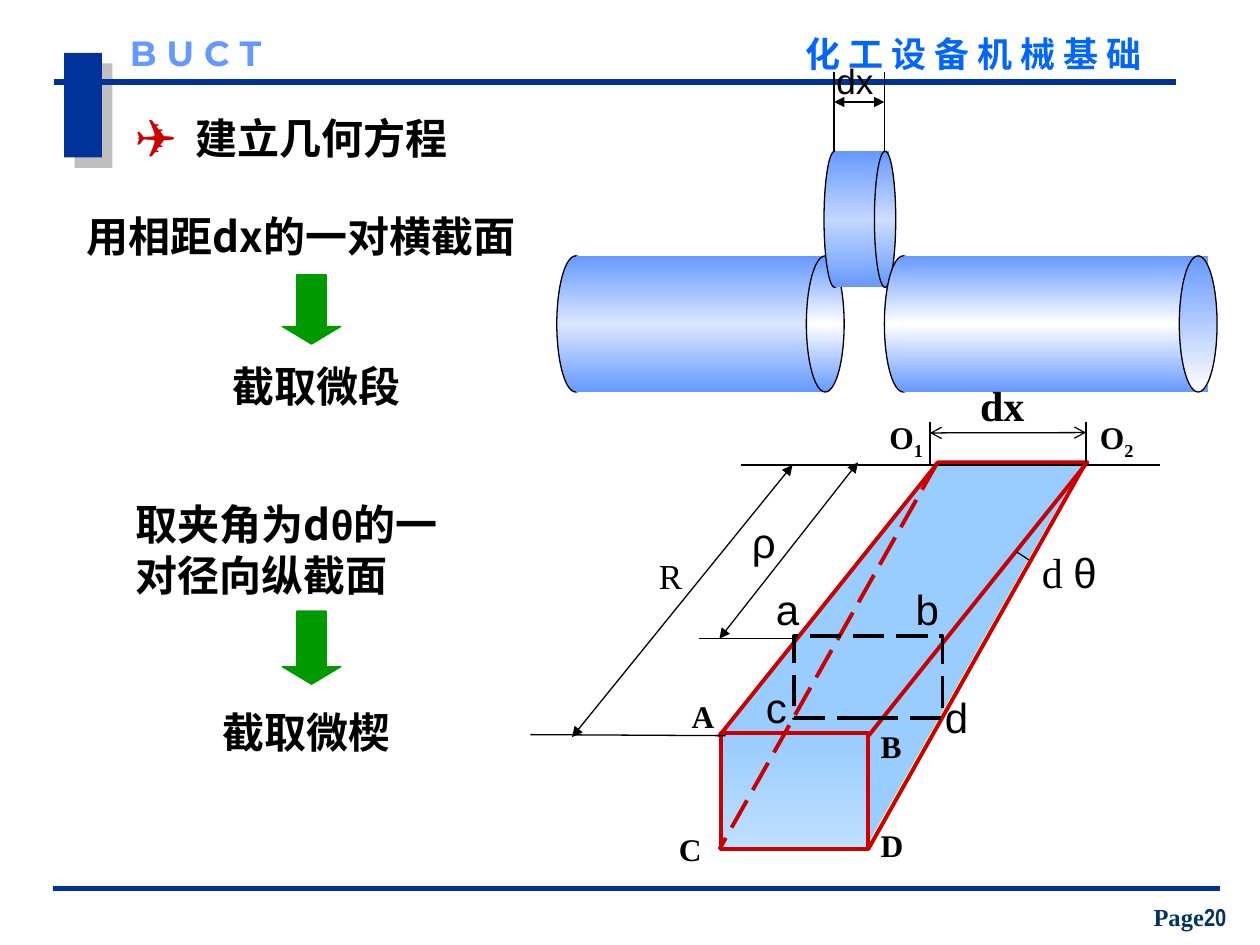
from lxml.etree import SubElement
from pptx import Presentation
from pptx.dml.color import RGBColor
from pptx.enum.dml import MSO_LINE
from pptx.enum.shapes import MSO_CONNECTOR, MSO_SHAPE
from pptx.enum.text import MSO_ANCHOR, PP_ALIGN
from pptx.oxml.ns import qn
from pptx.util import Pt

COLORS = {
    "navy": "003399", "deep": "003366", "title": "0066FF", "blue": "6699FF",
    "pale": "DAE6FF", "mist": "C3D7FF", "haze": "CCDDFF", "white": "FFFFFF",
    "black": "000000", "grey": "808080", "red": "CC0000", "green": "009900",
    "sky": "99CCFF", "light": "BEDFFF", "cream": "FFFF99",
}
SANS, ROMAN, HAN = "Arial", "Times New Roman", "Noto Sans CJK SC"


def rgb(name):
    return RGBColor.from_string(COLORS[name])


def shade(shape, names):
    """Fill from top to bottom with evenly spaced colours."""
    shape.fill.gradient()
    shape.fill.gradient_angle = 270
    stops = shape._element.spPr.find(qn("a:gradFill")).find(qn("a:gsLst"))
    for stop in list(stops):
        stops.remove(stop)
    for i, name in enumerate(names):
        stop = SubElement(stops, qn("a:gs"), pos=str(100000 * i // (len(names) - 1)))
        SubElement(stop, qn("a:srgbClr"), val=COLORS[name])


def add_form(slide, kind, box, fill=None, edge=None, width=0.75):
    """Preset shape; fill is a colour, a list of colours or None."""
    shape = slide.shapes.add_shape(kind, *map(Pt, box))
    shape.shadow.inherit = False
    if fill is None:
        shape.fill.background()
    elif isinstance(fill, list):
        shade(shape, fill)
    else:
        shape.fill.solid()
        shape.fill.fore_color.rgb = rgb(fill)
    if edge:
        shape.line.color.rgb = rgb(edge)
        shape.line.width = Pt(width)
    else:
        shape.line.fill.background()
    return shape


def add_line(slide, ends, color="black", width=0.75, arrow=None, dash=False):
    line = slide.shapes.add_connector(MSO_CONNECTOR.STRAIGHT, *map(Pt, ends))
    line.line.color.rgb = rgb(color)
    line.line.width = Pt(width)
    if dash:
        line.line.dash_style = MSO_LINE.LONG_DASH
    props = line._element.spPr
    if arrow:
        for tag in ("a:headEnd", "a:tailEnd"):
            SubElement(props.find(qn("a:ln")), qn(tag), type=arrow)
    SubElement(props, qn("a:effectLst"))


def add_text(slide, box, runs, size, color="black", bold=False,
             align=PP_ALIGN.LEFT, inset=True):
    """Text box; each run is (words, font) or (words, font, baseline)."""
    frame = slide.shapes.add_textbox(*map(Pt, box)).text_frame
    frame.word_wrap = True
    if not inset:
        frame.margin_left = frame.margin_right = 0
        frame.margin_top = frame.margin_bottom = 0
    para = frame.paragraphs[0]
    para.alignment = align
    for words, face, *base in runs:
        run = para.add_run()
        run.text = words
        font = run.font
        font.size, font.bold, font.name = Pt(size), bold, face
        font.color.rgb = rgb(color)
        props = run._r.get_or_add_rPr()
        SubElement(props, qn("a:ea"), typeface=HAN)
        if base:
            props.set("baseline", str(base[0] * 1000))
    return frame


def add_mark(frame, sign, color, gap):
    """Hanging bullet for the first paragraph."""
    props = frame.paragraphs[0]._p.get_or_add_pPr()
    props.set("marL", str(Pt(gap)))
    props.set("indent", str(-Pt(gap)))
    tint = SubElement(props, qn("a:buClr"))
    SubElement(tint, qn("a:srgbClr"), val=COLORS[color])
    SubElement(props, qn("a:buFont"), typeface=SANS)
    SubElement(props, qn("a:buChar"), char=sign)


def add_tube(slide, left, top, cap, far, end, mid, face):
    """Lying tube: near cap, body up to end, far cap."""
    high = 77.8
    body = ["blue", mid, "blue"]
    add_form(slide, MSO_SHAPE.OVAL, (left, top, cap, high), body, "black")
    start = left + cap / 2
    add_form(slide, MSO_SHAPE.RECTANGLE, (start, top, end - start, high), body)
    add_form(slide, MSO_SHAPE.OVAL, (far, top, cap, high), face, "black")


def add_frame(slide):
    """Header, footer and corner flag."""
    flag = add_form(slide, MSO_SHAPE.RECTANGLE, (36.7, 30.2, 21.6, 59.8), "navy")
    glow = SubElement(flag._element.spPr.find(qn("a:effectLst")), qn("a:outerShdw"),
                      dist=str(Pt(8.5)), dir="2700000", algn="ctr", rotWithShape="0")
    tint = SubElement(glow, qn("a:srgbClr"), val=COLORS["grey"])
    SubElement(tint, qn("a:alpha"), val="50000")
    add_line(slide, (31, 46.8, 672, 46.8), "navy", 3)
    add_line(slide, (30.2, 507.6, 697, 507.6), "navy", 3)
    add_text(slide, (460.4, 18.7, 226, 48), [("化 工 设 备 机 械 基 础", ROMAN)],
             20, "title", True, inset=False)
    add_text(slide, (74.2, 18, 102, 24), [("B U C T", "Montserrat")],
             20, "blue", True, inset=False)
    page = add_text(slide, (645.8, 512, 68.4, 23.8),
                    [("Page", ROMAN), ("20", "Arial Narrow")], 14, "deep", True, PP_ALIGN.CENTER)
    page.vertical_anchor = MSO_ANCHOR.BOTTOM


def add_steps(slide):
    """Left column: heading, steps and arrows."""
    head = add_text(slide, (70.6, 60.5, 286.6, 36), [("建立几何方程", ROMAN)], 24, bold=True)
    add_mark(head, "✈", "red", 34)
    left, mid = PP_ALIGN.LEFT, PP_ALIGN.CENTER
    steps = [
        ((42.5, 116.6, 265.7, 64.8), [("用相距dx的一对横截面", HAN)], left),
        ((76.3, 202.3, 209.5, 36), [("截取微段", SANS)], mid),
        ((70.6, 281.5, 187.2, 64.8),
         [("取夹角为d", HAN), ("θ", SANS), ("的一对径向纵截面", HAN)], left),
        ((64.8, 400.3, 221, 36), [("截取微楔", HAN)], mid),
    ]
    for box, runs, align in steps:
        add_text(slide, box, runs, 24, bold=True, align=align)
    for top, high in ((157, 39.6), (349.2, 41.8)):
        arrow = add_form(slide, MSO_SHAPE.DOWN_ARROW, (161.3, top, 33.5, high), "green", "green")
        arrow.adjustments[0], arrow.adjustments[1] = 0.5, 0.3


def add_shaft(slide):
    """Shaft with the thin slice pulled out."""
    add_tube(slide, 318.2, 146.2, 21.6, 460.8, 471.6, "pale", ["blue", "white", "blue"])
    add_tube(slide, 470.9, 86.4, 12.2, 499.7, 508.3, "mist", ["blue", "haze", "blue"])
    add_tube(slide, 505.4, 146.2, 21.6, 673.9, 690.5, "white", ["blue", "white"])
    for x in (476.6, 505.4):
        add_line(slide, (x, 86.4, x, 41))
    add_line(slide, (476.6, 58.3, 505.4, 58.3), arrow="triangle")
    add_text(slide, (470.9, 30.2, 62.6, 31.7), [("dx", SANS)], 20)


def add_wedge(slide):
    """Wedge cut from the slice."""
    side = add_form(slide, MSO_SHAPE.RIGHT_TRIANGLE, (528.5, 255.6, 54.7, 244), "sky", "cream", 1.5)
    side.rotation = 42.1
    top = add_form(slide, MSO_SHAPE.PARALLELOGRAM, (411.1, 264.2, 210.2, 156.2), "sky", "red", 2.25)
    top.adjustments[0] = 0.8
    add_form(slide, MSO_SHAPE.RECTANGLE, (411.8, 419, 84.2, 66.2), ["sky", "light"], "red", 2.25)

    # Guide lines and sizes
    for ends in ((423.4, 265.7, 663.1, 265.7), (531.4, 265.7, 531.4, 241.2),
                 (620.6, 265.7, 620.6, 241.2), (303.1, 419.8, 414.7, 420.4),
                 (581, 315.4, 589.7, 321.1), (399.6, 365, 453.6, 365)):
        add_line(slide, ends)
    add_line(slide, (531.4, 247.4, 620.6, 247.2), arrow="arrow")
    add_line(slide, (452.9, 265.7, 326.9, 421.2), arrow="triangle")
    add_line(slide, (411.1, 365, 490.3, 264.2), arrow="triangle")

    # Lower edges and inner section
    add_line(slide, (620.6, 264.2, 496.1, 485.3), "red", 2.25)
    add_line(slide, (535.7, 264.2, 411.1, 485.3), "red", 2.25, dash=True)
    inner = add_form(slide, MSO_SHAPE.RECTANGLE, (453.6, 363.6, 85, 46.8), None, "black", 2.25)
    inner.line.dash_style = MSO_LINE.LONG_DASH

    # Letters
    for word, x, y, size, face, bold in (
            ("dx", 553, 213.1, 24, ROMAN, True), ("R", 369.4, 313.2, 20, ROMAN, False),
            ("A", 388.1, 394.6, 18, ROMAN, True), ("B", 496.1, 411.8, 18, ROMAN, True),
            ("C", 380.9, 470.9, 18, ROMAN, True), ("D", 496.1, 468.7, 18, ROMAN, True),
            ("ρ", 422.6, 291.6, 24, SANS, False), ("a", 436.3, 329.8, 24, SANS, False),
            ("b", 516.2, 329.8, 24, SANS, False), ("c", 430.6, 385.9, 24, SANS, False),
            ("d", 532.8, 391.7, 24, SANS, False)):
        add_text(slide, (x, y, 50, size * 1.5), [(word, face)], size, bold=bold)
    for sub, x in (("1", 501.1), ("2", 621.4)):
        add_text(slide, (x, 235.4, 42, 31.7), [("O", ROMAN), (sub, ROMAN, -25)], 18, bold=True)
    add_text(slide, (595.4, 312.5, 36, 28.8), [("d ", ROMAN), ("θ", SANS)], 24, inset=False)


def main():
    deck = Presentation()
    deck.slide_width, deck.slide_height = Pt(720), Pt(540)
    slide = deck.slides.add_slide(deck.slide_layouts[6])
    add_frame(slide)
    add_steps(slide)
    add_shaft(slide)
    add_wedge(slide)
    deck.save("out.pptx")


if __name__ == "__main__":
    main()
